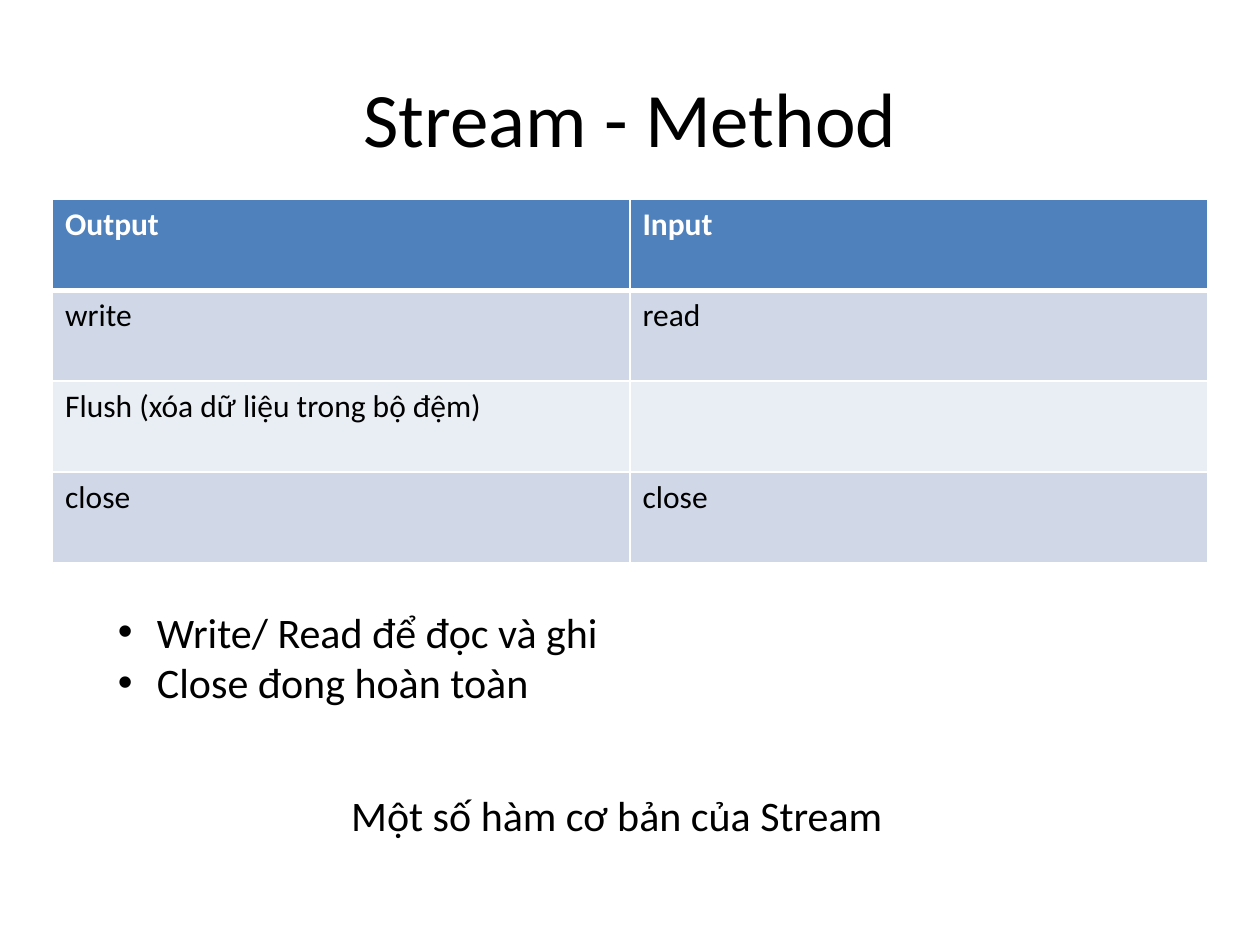
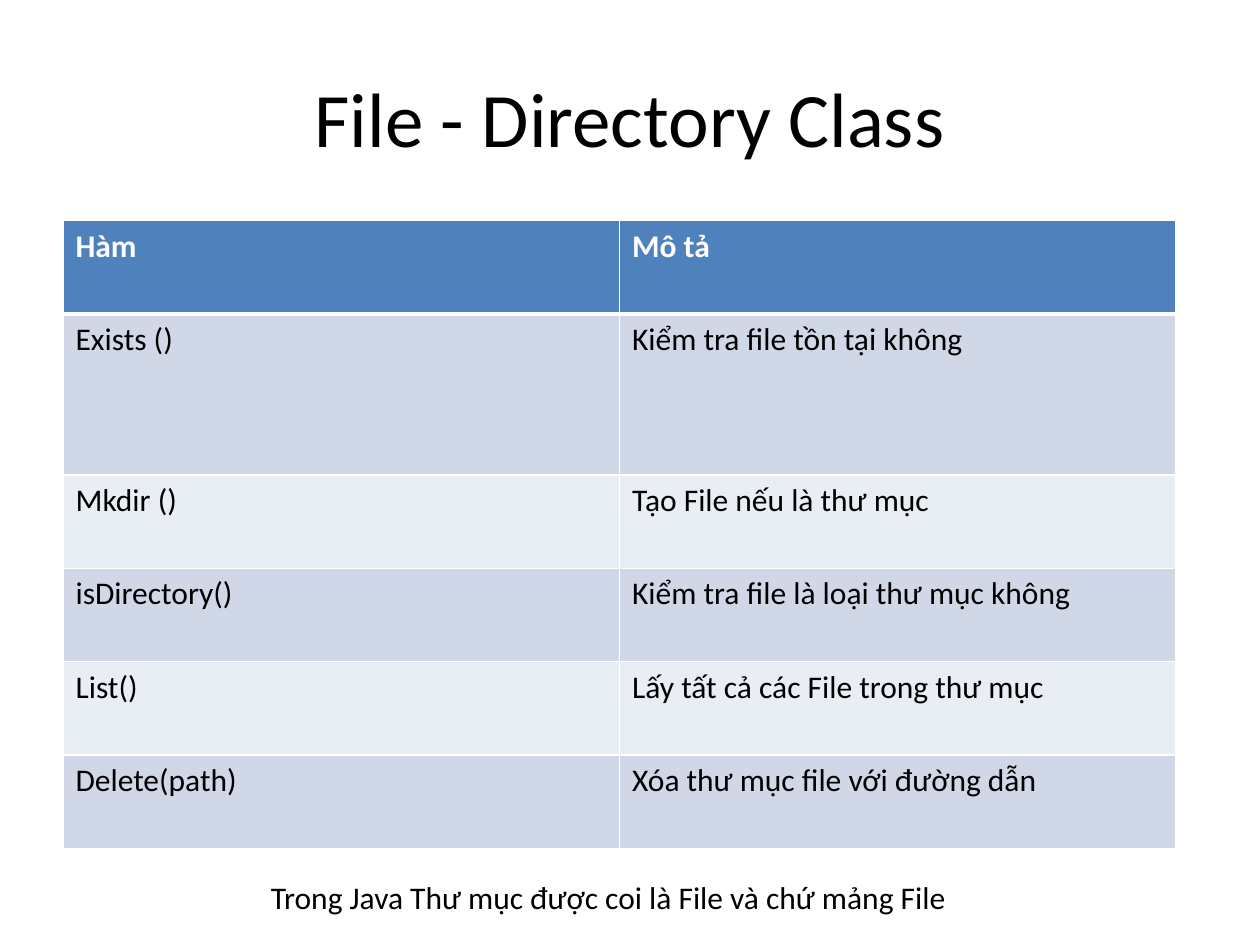
from lxml import etree
from pptx import Presentation
from pptx.dml.color import RGBColor
from pptx.enum.text import MSO_ANCHOR, MSO_AUTO_SIZE, PP_ALIGN
from pptx.oxml.ns import qn
from pptx.util import Cm, Pt

CENTER = PP_ALIGN.CENTER
LEFT = PP_ALIGN.LEFT
MIDDLE = MSO_ANCHOR.MIDDLE
TOP = MSO_ANCHOR.TOP
NO_FIT = MSO_AUTO_SIZE.NONE

FONT = "Calibri"
COLORS = {
    "text": "000000",
    "line": "FFFFFF",
    "header": "4F81BD",
    "header_text": "FFFFFF",
    "odd_row": "D0D8E8",
    "even_row": "E9EDF4",
}
TITLE_BOX = (1.27, 0.76, 22.86, 3.18)
TITLE_AND_BODY, TITLE_ONLY = 1, 5

STREAM_ROWS = [
    ("Output", "Input"),
    ("write", "read"),
    ("Flush (xóa dữ liệu trong bộ đệm)", ""),
    ("close", "close"),
]
STREAM_NOTES = ["Write/ Read để đọc và ghi", "Close đong hoàn toàn"]
FILE_ROWS = [
    ("Hàm", "Mô tả"),
    ("Exists ()", "Kiểm tra file tồn tại không"),
    ("Mkdir ()", "Tạo File nếu là thư mục"),
    ("isDirectory()", "Kiểm tra file là loại thư mục không"),
    ("List()", "Lấy tất cả các File trong thư mục"),
    ("Delete(path)", "Xóa thư mục file với đường dẫn"),
]


def rgb(name):
    return RGBColor.from_string(COLORS[name])


def style_paragraph(p, size, color="text", bold=False, align=LEFT):
    p.alignment = align
    for r in p.runs:
        r.font.name = FONT
        r.font.size = Pt(size)
        r.font.bold = bold
        r.font.color.rgb = rgb(color)


def place(sp, box):
    sp.left, sp.top, sp.width, sp.height = map(Cm, box)


def add_titled_slide(prs, layout, title):
    s = prs.slides.add_slide(prs.slide_layouts[layout])
    place(s.shapes.title, TITLE_BOX)
    tf = s.shapes.title.text_frame
    tf.text = title
    tf.vertical_anchor = MIDDLE
    style_paragraph(tf.paragraphs[0], 44, align=CENTER)
    return s


def set_border(cell, side, width):
    ln = etree.SubElement(cell._tc.get_or_add_tcPr(), qn(f"a:ln{side}"), w=str(Pt(width)))
    fill = etree.SubElement(ln, qn("a:solidFill"))
    etree.SubElement(fill, qn("a:srgbClr"), val=COLORS["line"])


def style_cell(cell, row):
    for side in "LRTB":
        under_header = (row, side) in ((0, "B"), (1, "T"))
        set_border(cell, side, 3 if under_header else 1)
    cell.fill.solid()
    if row == 0:
        cell.fill.fore_color.rgb = rgb("header")
    else:
        cell.fill.fore_color.rgb = rgb("odd_row" if row % 2 else "even_row")
    style_paragraph(cell.text_frame.paragraphs[0], 18,
                    "text" if row else "header_text", bold=row == 0)


def add_method_table(s, rows, left, top, width, heights):
    columns = len(rows[0])
    frame = s.shapes.add_table(len(rows), columns, Cm(left), Cm(top),
                               Cm(width), Cm(sum(heights)))
    table = frame.table
    for column in table.columns:
        column.width = Cm(width / columns)
    for i, (texts, height) in enumerate(zip(rows, heights)):
        table.rows[i].height = Cm(height)
        for j, text in enumerate(texts):
            cell = table.cell(i, j)
            cell.text = text
            style_cell(cell, i)


def fill_bullets(sp, items, box, size):
    place(sp, box)
    tf = sp.text_frame
    tf.auto_size = NO_FIT
    tf.vertical_anchor = TOP
    tf.text = "\n".join(items)
    for p in tf.paragraphs:
        pPr = p._p.get_or_add_pPr()
        pPr.set("marL", str(Cm(0.79)))
        pPr.set("indent", str(Cm(-0.79)))
        etree.SubElement(pPr, qn("a:buFont"), typeface="Arial")
        etree.SubElement(pPr, qn("a:buChar"), char="•")
        p.space_before = Pt(0)
        style_paragraph(p, size)


def add_caption(s, text, box, size):
    tf = s.shapes.add_textbox(*map(Cm, box)).text_frame
    tf.word_wrap = False
    tf.text = text
    style_paragraph(tf.paragraphs[0], size)


def stream_slide(prs):
    s = add_titled_slide(prs, TITLE_AND_BODY, "Stream - Method")
    add_method_table(s, STREAM_ROWS, 1.06, 4.02, 23.28, [1.83] * len(STREAM_ROWS))
    fill_bullets(s.placeholders[1], STREAM_NOTES, (2.12, 12.09, 10.36, 2.31), 24)
    add_caption(s, "Một số hàm cơ bản của Stream", (6.83, 15.8, 11.3, 1.27), 24)


def file_slide(prs):
    s = add_titled_slide(prs, TITLE_ONLY, "File - Directory Class")
    heights = [1.88] * len(FILE_ROWS)
    heights[1] = 3.25
    add_method_table(s, FILE_ROWS, 1.27, 4.45, 22.44, heights)
    add_caption(s, "Trong Java Thư mục được coi là File và chứ mảng File",
                (5.21, 17.58, 14.3, 1.02), 18)


def main():
    prs = Presentation()
    prs.slide_width, prs.slide_height = Cm(25.4), Cm(19.05)
    stream_slide(prs)
    file_slide(prs)
    prs.save("out.pptx")


if __name__ == "__main__":
    main()
